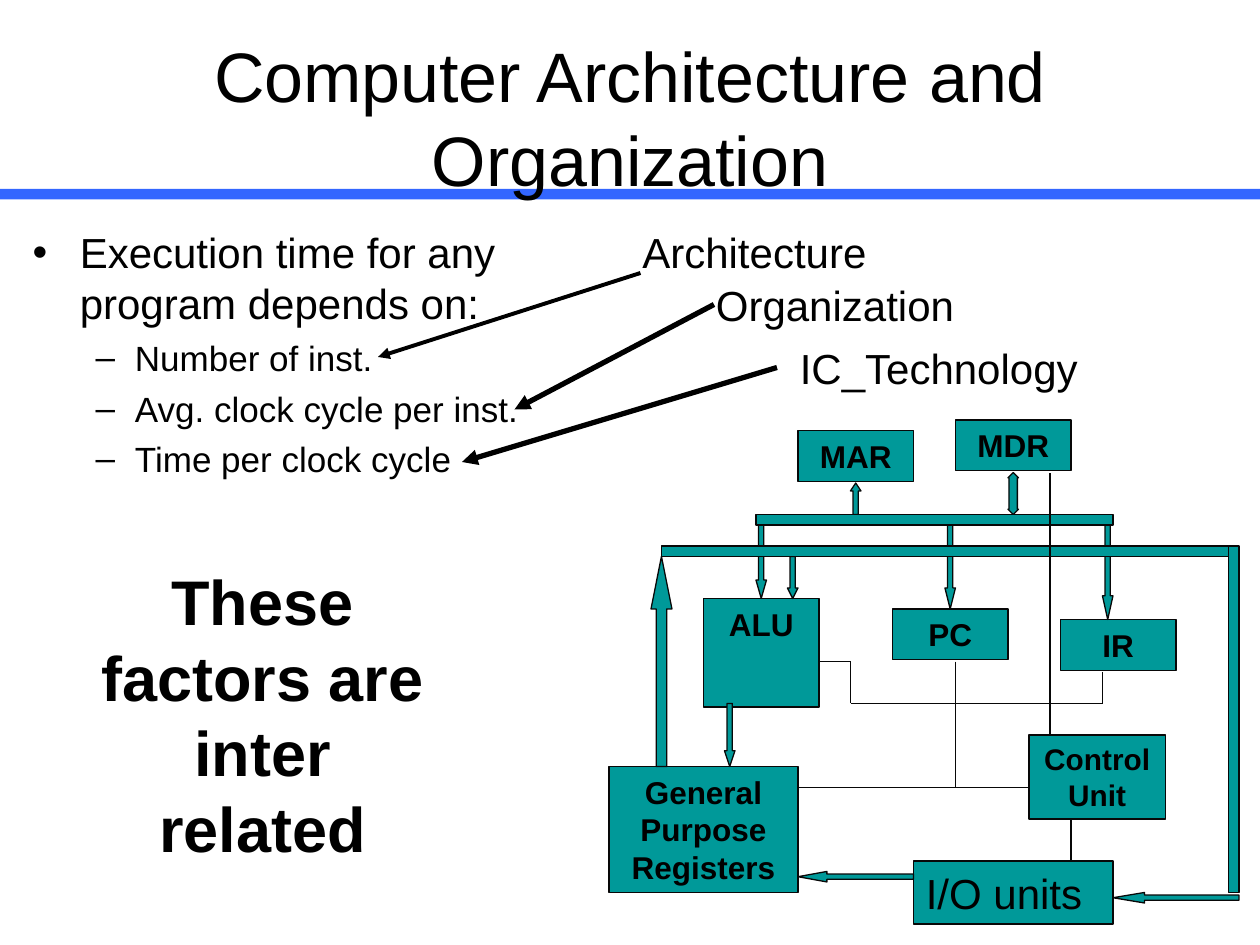
import pptx
import pptx.util
import pptx.dml.color
import pptx.enum.shapes
import pptx.enum.text
import pptx.oxml
import pptx.oxml.ns

Pt = pptx.util.Pt
SHAPES = pptx.enum.shapes.MSO_SHAPE
ALIGN = pptx.enum.text.PP_ALIGN
ANCHOR = pptx.enum.text.MSO_ANCHOR
TEAL, EDGE, BLACK, BLUE = "009999", "080808", "000000", "3366FF"


def color(value):
    return pptx.dml.color.RGBColor.from_string(value)


def add_element(parent, tag, **attributes):
    element = pptx.oxml.parse_xml(f"<a:{tag} {pptx.oxml.ns.nsdecls('a')}/>")
    for name, value in attributes.items():
        element.set(name, str(value))
    parent.append(element)


def set_font(para, size, bold=False):
    para.font.name = "Arial"
    para.font.size = Pt(size)
    para.font.bold = bold
    para.font.color.rgb = color(BLACK)


def write(shape, text, size, bold=False, align=ALIGN.CENTER, anchor=ANCHOR.TOP):
    frame = shape.text_frame
    frame.word_wrap = True
    frame.vertical_anchor = anchor
    para = frame.paragraphs[0]
    para.text = text
    para.alignment = align
    set_font(para, size, bold)


def add_text(page, bounds, text, size, **style):
    box = page.shapes.add_textbox(*map(Pt, bounds))
    write(box, text, size, **style)


def add_block(page, kind, bounds, fill=TEAL, edge=EDGE):
    block = page.shapes.add_shape(kind, *map(Pt, bounds))
    block.shadow.inherit = False
    block.fill.solid()
    block.fill.fore_color.rgb = color(fill)
    if edge:
        block.line.color.rgb = color(edge)
        block.line.width = Pt(0.75)
    else:
        block.line.fill.background()
    return block


def add_unit(page, text, bounds, size=18, bold=True, align=ALIGN.CENTER):
    write(add_block(page, SHAPES.RECTANGLE, bounds), text, size, bold, align)


def add_block_arrow(page, kind, bounds, head_share=0.25):
    arrow = add_block(page, kind, bounds)
    thickness, length = sorted(bounds[2:])
    arrow.adjustments[0] = 0.5
    arrow.adjustments[1] = head_share * length / thickness


def add_line(page, start, end, line_color=EDGE, width=0.75):
    line = page.shapes.add_connector(
        pptx.enum.shapes.MSO_CONNECTOR.STRAIGHT, *map(Pt, start + end))
    line.line.color.rgb = color(line_color)
    line.line.width = Pt(width)
    add_element(line._element.spPr, "effectLst")
    return line


def add_wire(page, points):
    for start, end in zip(points, points[1:]):
        add_line(page, start, end)


def add_pointer(page, start, end, width):
    pointer = add_line(page, start, end, BLACK, width)
    add_element(pointer.get_or_add_ln(), "tailEnd", type="triangle")


def add_bullets(page, bounds, items):
    frame = page.shapes.add_textbox(*map(Pt, bounds)).text_frame
    frame.word_wrap = True
    for index, (level, text) in enumerate(items):
        para = frame.add_paragraph() if index else frame.paragraphs[0]
        para.text = text
        para.level = level
        mark, size, margin, hang = (("•", 24, 27, 27), ("–", 20, 58.5, 22.5))[level]
        properties = para._p.get_or_add_pPr()
        properties.set("marL", str(Pt(margin)))
        properties.set("indent", str(-Pt(hang)))
        if index:
            para.space_before = Pt(5)
        add_element(properties, "buFont", typeface="Arial")
        add_element(properties, "buChar", char=mark)
        set_font(para, size)


def add_computer(page):
    add_unit(page, "MAR", (456, 246, 66, 29))
    add_unit(page, "MDR", (546, 240, 66, 29))
    add_unit(page, "ALU", (402, 342, 66, 62))
    add_unit(page, "PC", (510, 348, 66, 29))
    add_unit(page, "IR", (606, 354, 66, 29))
    add_unit(page, "General Purpose Registers", (348, 438, 108, 72))
    add_unit(page, "Control Unit", (588, 420, 78, 48), size=17)
    add_unit(page, "I/O units", (522, 492, 114, 36), 24, False, ALIGN.LEFT)

    for left, top, height in ((432, 300, 42), (450, 318, 24), (540, 300, 48),
                              (630, 300, 54), (414, 402, 36)):
        add_block_arrow(page, SHAPES.DOWN_ARROW, (left, top, 6, height))
    add_block_arrow(page, SHAPES.UP_ARROW, (372, 318, 12, 120))
    add_block_arrow(page, SHAPES.UP_ARROW, (486, 276, 6, 18))
    add_block_arrow(page, SHAPES.UP_DOWN_ARROW, (576, 270, 6, 24), 0.2)

    for bus in ((432, 294, 204, 6), (378, 312, 324, 6), (702, 312, 6, 198)):
        add_block(page, SHAPES.RECTANGLE, bus)
    add_block_arrow(page, SHAPES.LEFT_ARROW, (636, 510, 72, 6))
    add_block_arrow(page, SHAPES.LEFT_ARROW, (456, 498, 66, 6))

    add_wire(page, [(588, 450), (534, 450), (456, 450)])
    add_wire(page, [(546, 378), (546, 450)])
    add_wire(page, [(630, 384), (630, 402), (546, 402),
                    (486, 402), (486, 378), (468, 378)])
    add_wire(page, [(612, 468), (612, 492)])
    add_wire(page, [(600, 420), (600, 270)])


def main():
    deck = pptx.Presentation()
    deck.slide_width, deck.slide_height = Pt(720), Pt(540)
    page = deck.slides.add_slide(deck.slide_layouts[6])

    add_block(page, SHAPES.RECTANGLE, (0, 108, 720, 6), BLUE, None)
    add_text(page, (36, 21.6, 648, 90), "Computer Architecture and Organization",
             40, anchor=ANCHOR.MIDDLE)
    add_computer(page)
    add_bullets(page, (11.5, 126, 300, 162), [
        (0, "Execution time for any program depends on:"),
        (1, "Number of inst."),
        (1, "Avg. clock cycle per inst."),
        (1, "Time per clock cycle"),
    ])
    add_text(page, (48, 318, 204, 180), "These factors are inter related", 36, bold=True)

    for text, left, top, start, end, width in (
            ("Architecture", 360, 126, (366, 156), (216, 204), 2.25),
            ("Organization", 402, 156, (408, 174), (294, 234), 3),
            ("IC_Technology", 450, 192, (444, 210), (264, 264), 3)):
        add_text(page, (left, top, 216, 36), text, 24, align=ALIGN.LEFT)
        add_pointer(page, start, end, width)

    deck.save("out.pptx")


if __name__ == "__main__":
    main()
